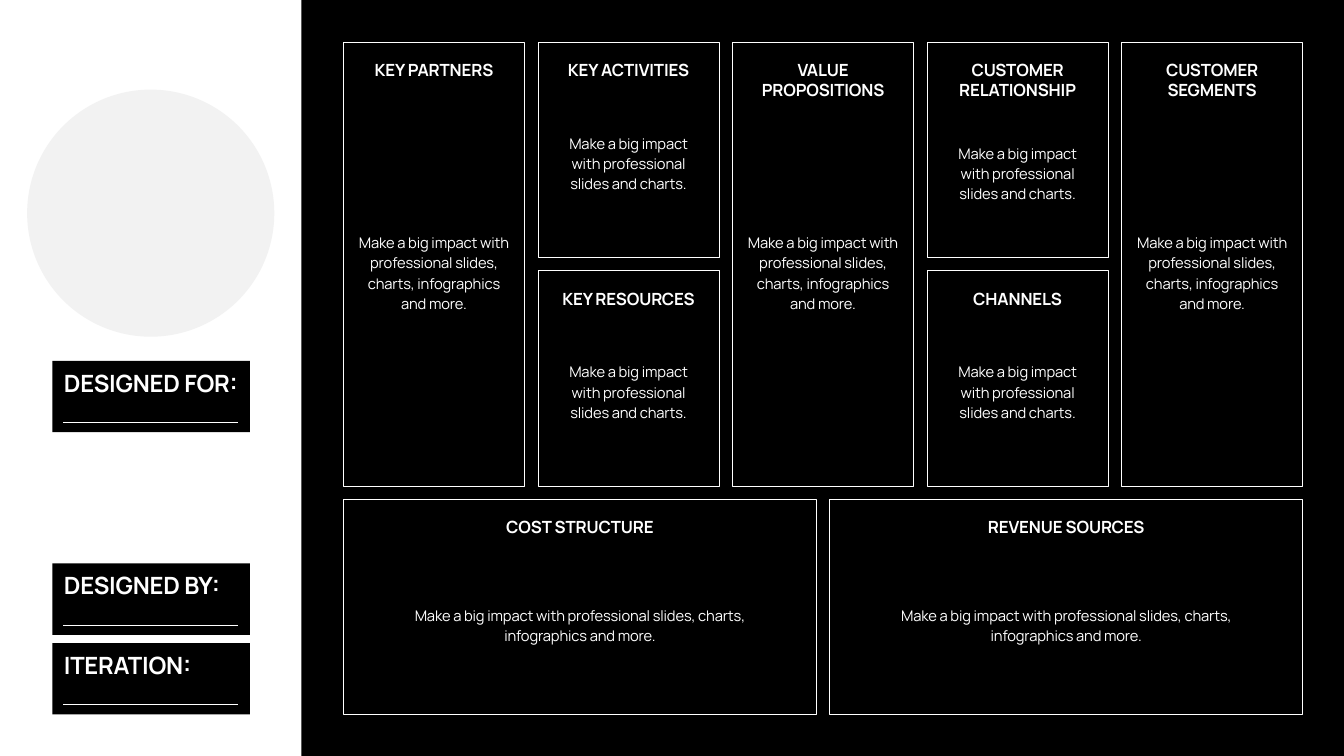
from dataclasses import dataclass

from lxml.etree import SubElement
from pptx import Presentation
from pptx.dml.color import RGBColor
from pptx.enum.shapes import MSO_CONNECTOR, MSO_SHAPE
from pptx.enum.text import MSO_ANCHOR, PP_ALIGN
from pptx.oxml.ns import qn
from pptx.util import Pt

BLACK, WHITE, GREY = "000000", "FFFFFF", "F2F2F2"
FONT = "Manrope"

SHORT_BODY = "Make a big impact with professional slides and charts."
LONG_BODY = "Make a big impact with professional slides, charts, infographics and more."


@dataclass
class Box:
    left: float
    top: float
    width: float
    height: float

    def in_points(self):
        return Pt(self.left), Pt(self.top), Pt(self.width), Pt(self.height)


def color(hex_value):
    return RGBColor.from_string(hex_value)


def add_block(slide, box, fill=None, outline=None, kind=MSO_SHAPE.RECTANGLE):
    block = slide.shapes.add_shape(kind, *box.in_points())
    block.shadow.inherit = False
    if fill:
        block.fill.solid()
        block.fill.fore_color.rgb = color(fill)
    else:
        block.fill.background()
    if outline:
        block.line.color.rgb = color(outline)
        block.line.width = Pt(1)
    else:
        block.line.fill.background()


def add_rule(slide, left, top, width):
    rule = slide.shapes.add_connector(
        MSO_CONNECTOR.STRAIGHT, Pt(left), Pt(top), Pt(left + width), Pt(top))
    rule.line.color.rgb = color(WHITE)
    rule.line.width = Pt(1)
    SubElement(rule._element.spPr, qn("a:effectLst"))


def add_text(slide, box, text, size, bold=False, align=PP_ALIGN.CENTER,
             anchor=MSO_ANCHOR.TOP, leading=None, tracking=-20):
    frame = slide.shapes.add_textbox(*box.in_points()).text_frame
    frame.word_wrap = True
    frame.vertical_anchor = anchor
    frame.text = text
    paragraph = frame.paragraphs[0]
    paragraph.alignment = align
    if leading:
        paragraph.line_spacing = Pt(leading)
    run = paragraph.runs[0]
    run.font.name = FONT
    run.font.size = Pt(size)
    run.font.bold = bold
    run.font.color.rgb = color(WHITE)
    run._r.get_or_add_rPr().set("spc", str(tracking))


def add_canvas_cell(slide, box, heading, body, margin, body_height, body_shift):
    add_block(slide, box, outline=WHITE)
    left, width = box.left + margin, box.width - 2 * margin
    heading_height = 65.5 if heading.startswith(("VALUE", "CUSTOMER")) else 36
    add_text(slide, Box(left, box.top + 22, width, heading_height), heading, 24, bold=True)
    body_top = box.top + (box.height - body_height) / 2 + body_shift
    add_text(slide, Box(left, body_top, width, body_height), body, 21,
             anchor=MSO_ANCHOR.MIDDLE, leading=29)


def add_canvas(slide, box):
    add_block(slide, box, fill=BLACK)
    grid = Box(box.left + 60, 59.8, 1370, 961.2)
    column_gap, row_gap = 19.2, 18.3
    column_width = (grid.width - 4 * column_gap) / 5
    row_height = (grid.height - 2 * row_gap) / 3
    row_pitch = row_height + row_gap

    columns = [
        [("KEY PARTNERS", 11.2)],
        [("KEY ACTIVITIES", 18), ("KEY RESOURCES", 18)],
        [("VALUE PROPOSITIONS", 11.2)],
        [("CUSTOMER RELATIONSHIP", 32.4), ("CHANNELS", 18)],
        [("CUSTOMER SEGMENTS", 11.2)],
    ]
    for column, cells in enumerate(columns):
        left = grid.left + column * (column_width + column_gap)
        tall = len(cells) == 1
        height = row_height + row_pitch if tall else row_height
        body, margin, body_height = (LONG_BODY, 10.8, 152.6) if tall else (SHORT_BODY, 22.7, 93.6)
        for row, (heading, body_shift) in enumerate(cells):
            cell = Box(left, grid.top + row * row_pitch, column_width, height)
            add_canvas_cell(slide, cell, heading, body, margin, body_height, body_shift)

    wide = (grid.width - column_gap) / 2
    for column, heading in enumerate(["COST STRUCTURE", "REVENUE SOURCES"]):
        cell = Box(grid.left + column * (wide + column_gap),
                   grid.top + 2 * row_pitch, wide, row_height)
        add_canvas_cell(slide, cell, heading, LONG_BODY, 55, 65, 25)


def add_field(slide, box, label):
    add_block(slide, box, fill=BLACK)
    add_rule(slide, box.left + 15.3, box.top + 87.8, 250.6)
    add_text(slide, Box(box.left + 9.4, box.top + 7.4, 267.8, 48.2), label, 34,
             bold=True, align=PP_ALIGN.LEFT, tracking=-30)


def add_sidebar(slide, box):
    diameter = 353
    add_block(slide, Box(box.left + (box.width - diameter) / 2, 128, diameter, diameter),
              fill=GREY, kind=MSO_SHAPE.OVAL)
    fields = [("DESIGNED FOR:", 515.4), ("DESIGNED BY:", 805), ("ITERATION:", 918.7)]
    for label, top in fields:
        add_field(slide, Box(box.left + 74.7, top, 282.2, 102), label)


def main():
    presentation = Presentation()
    presentation.slide_width, presentation.slide_height = Pt(1919.5), Pt(1080)
    slide = presentation.slides.add_slide(presentation.slide_layouts[6])
    slide.background.fill.solid()
    slide.background.fill.fore_color.rgb = color(WHITE)
    sidebar_width = 430.5
    add_canvas(slide, Box(sidebar_width, 0, 1919.5 - sidebar_width, 1080))
    add_sidebar(slide, Box(0, 0, sidebar_width, 1080))
    presentation.save("out.pptx")


if __name__ == "__main__":
    main()
